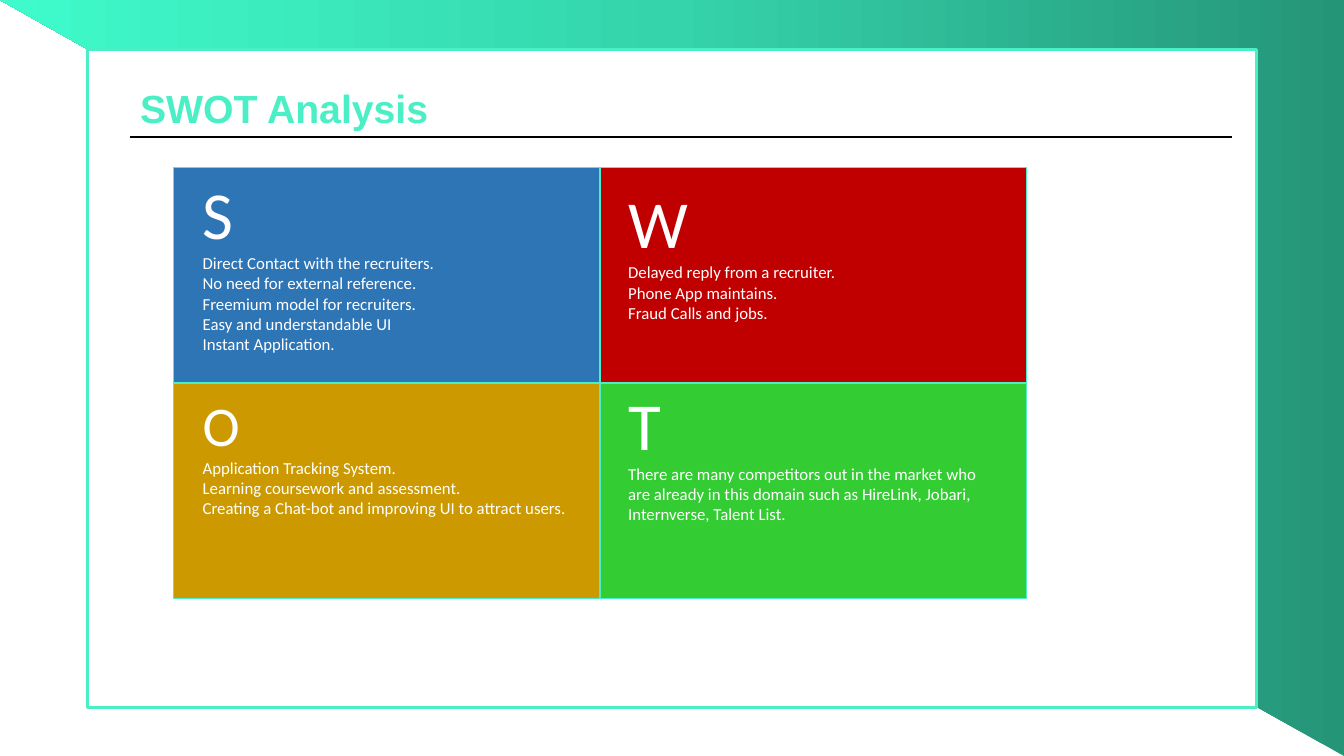
"""Build a one-slide SWOT analysis with four coloured quadrants."""
import dataclasses

import pptx
import pptx.dml.color
import pptx.enum.shapes
import pptx.enum.text
import pptx.oxml
import pptx.oxml.ns
import pptx.util
from pptx.util import Inches


@dataclasses.dataclass(frozen=True)
class Theme:
    mint: str = "4BEFC5"
    white: str = "FFFFFF"
    black: str = "000000"
    gradient: tuple = ((0, "259578"), (50, "35D4AB"), (100, "3FFBCB"))
    heading_font: str = "Arial"
    body_font: str = "Calibri"
    title_size: int = 28
    letter_size: int = 48
    small_letter_size: int = 40
    body_size: int = 12


theme = Theme()
rgb = pptx.dml.color.RGBColor.from_string
shape_type = pptx.enum.shapes.MSO_SHAPE


def add_shape(kind, x, y, w, h, fill=None, line=None, width=1):
    sp = s.shapes.add_shape(kind, Inches(x), Inches(y), Inches(w), Inches(h))
    sp.shadow.inherit = False
    if fill:
        sp.fill.solid()
        sp.fill.fore_color.rgb = rgb(fill)
    if line:
        sp.line.color.rgb = rgb(line)
        sp.line.width = pptx.util.Pt(width)
    else:
        sp.line.fill.background()
    return sp


def write(sp, lines, box, font=theme.body_font, color=theme.white, bold=False):
    sp.left, sp.top, sp.width, sp.height = [Inches(v) for v in box]
    sp.element.getparent().append(sp.element)
    tf = sp.text_frame
    tf.word_wrap = True
    tf.auto_size = pptx.enum.text.MSO_AUTO_SIZE.SHAPE_TO_FIT_TEXT
    tf.vertical_anchor = pptx.enum.text.MSO_ANCHOR.TOP
    for i, (text, size) in enumerate(lines):
        p = tf.add_paragraph() if i else tf.paragraphs[0]
        p.alignment = pptx.enum.text.PP_ALIGN.LEFT
        p.space_before = pptx.util.Pt(0)
        pPr = p._p.get_or_add_pPr()
        pPr.set("marL", "0")
        pPr.set("indent", "0")
        pPr.append(pptx.oxml.parse_xml(f"<a:buNone {pptx.oxml.ns.nsdecls('a')}/>"))
        r = p.add_run()
        r.text = text
        r.font.name = font
        r.font.size = pptx.util.Pt(size)
        r.font.bold = bold
        r.font.color.rgb = rgb(color)


prs = pptx.Presentation()
prs.slide_width, prs.slide_height = Inches(13.33), Inches(7.5)
s = prs.slides.add_slide(prs.slide_layouts.get_by_name("Comparison"))
title, *bodies = list(s.placeholders)

backdrop = add_shape(shape_type.RIGHT_TRIANGLE, 0, 0, 13.33, 7.5)
backdrop.rotation = 180
backdrop.fill.gradient()
backdrop.fill.gradient_angle = 0
stops = "".join(
    f'<a:gs pos="{pos * 1000}"><a:srgbClr val="{color}"/></a:gs>'
    for pos, color in theme.gradient
)
old_stops = backdrop.element.spPr.find(".//" + pptx.oxml.ns.qn("a:gsLst"))
old_stops.getparent().replace(
    old_stops,
    pptx.oxml.parse_xml(f"<a:gsLst {pptx.oxml.ns.nsdecls('a')}>{stops}</a:gsLst>"),
)

add_shape(shape_type.RECTANGLE, 0.87, 0.49, 11.59, 6.53, theme.white, theme.mint, 2.25)

write(title, [("SWOT Analysis", theme.title_size)], (1.29, 0.79, 10.93, 0.57),
      font=theme.heading_font, color=theme.mint, bold=True)

rule = s.shapes.add_connector(
    pptx.enum.shapes.MSO_CONNECTOR.STRAIGHT,
    Inches(1.29), Inches(1.36), Inches(12.22), Inches(1.36),
)
rule.line.color.rgb = rgb(theme.black)
rule.line.width = pptx.util.Pt(1)
rule.element.spPr.append(
    pptx.oxml.parse_xml(f"<a:effectLst {pptx.oxml.ns.nsdecls('a')}/>")
)

quadrants = [
    ("S", theme.letter_size, "2E75B6", (1.91, 1.66, 3.86, 1.92), [
        "Direct Contact with the recruiters.",
        "No need for external reference.",
        "Freemium model for recruiters.",
        "Easy and understandable UI",
        "Instant Application.",
    ]),
    ("W", theme.letter_size, "C00000", (6.13, 1.75, 3.85, 1.51), [
        "Delayed reply from a recruiter.",
        "Phone App maintains.",
        "Fraud Calls and jobs.",
    ]),
    ("O", theme.small_letter_size, "CC9900", (1.91, 3.82, 3.85, 1.38), [
        "Application Tracking System.",
        "Learning coursework and assessment.",
        "Creating a Chat-bot and improving UI to attract users.",
    ]),
    ("T", theme.letter_size, "33CC33", (6.13, 3.75, 3.85, 1.51), [
        "There are many competitors out in the market who are already in this "
        "domain such as HireLink, Jobari, Internverse, Talent List.",
    ]),
]
cell_w, cell_h = 4.23, 2.14
for i, (letter, size, fill, box, points) in enumerate(quadrants):
    row, col = divmod(i, 2)
    add_shape(shape_type.RECTANGLE, 1.72 + col * cell_w, 1.66 + row * cell_h,
              cell_w, cell_h, fill, theme.mint)
    write(bodies[i], [(letter, size)] + [(point, theme.body_size) for point in points], box)

prs.save("out.pptx")
